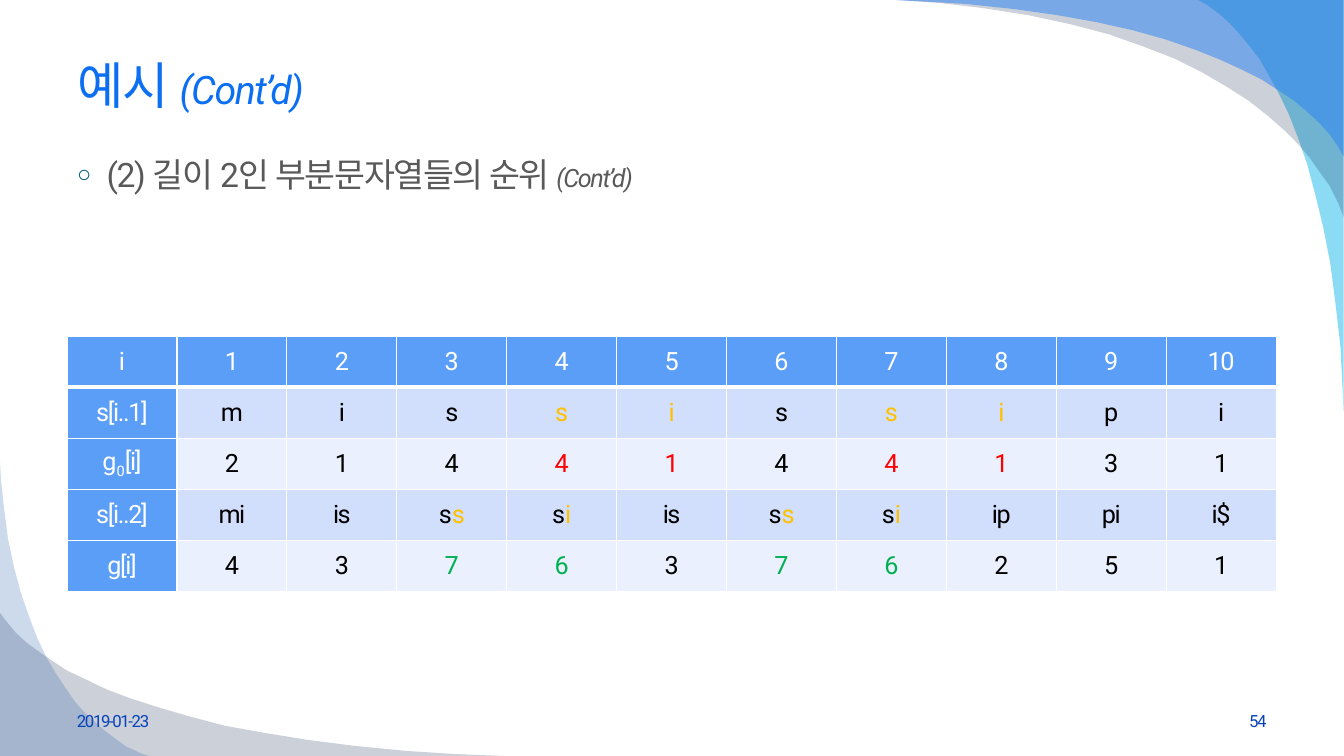
from lxml import etree
from pptx import Presentation
from pptx.dml.color import RGBColor
from pptx.enum.text import MSO_ANCHOR, PP_ALIGN
from pptx.oxml.ns import qn
from pptx.util import Cm, Pt

LEFT, CENTER, RIGHT = PP_ALIGN.LEFT, PP_ALIGN.CENTER, PP_ALIGN.RIGHT
MIDDLE = MSO_ANCHOR.MIDDLE
FONT = "Roboto"
WHITE, BLACK, GOLD, RED, GREEN = "FFFFFF", "000000", "FFC000", "FF0000", "00B050"
BLUE, GREY, FOOTER_BLUE = "0C6FF2", "595959", "0743BC"
HEADER_FILL, BAND_FILLS = "5B9EF7", ("D2DFFC", "EAF0FD")
MARGIN, CONTENT_WIDTH = Cm(1.69), Cm(30.48)


def rgb(color):
    return RGBColor.from_string(color)


def write(paragraph, text, size, color, italic=False, baseline=0, align=LEFT):
    """Append a tightly spaced run to the paragraph."""
    paragraph.alignment = align
    run = paragraph.add_run()
    run.text = text
    run.font.size = Pt(size)
    run.font.italic = italic
    run.font.color.rgb = rgb(color)
    run.font.name = FONT
    properties = run.font._element
    etree.SubElement(properties, qn("a:ea"), typeface=FONT)
    properties.set("spc", "-100")
    if baseline:
        properties.set("baseline", str(baseline * 1000))


prs = Presentation()
prs.slide_width, prs.slide_height = Cm(33.87), Cm(19.05)
slide = prs.slides.add_slide(prs.slide_layouts[1])
shapes = slide.shapes

# Corner waves: fill, opacity in percent, outline in hundredths of an inch
waves = [
    ("00B1E9", 45, [
        (1333, 408), (1333, 0), (1189, 0), (1198, 5), (1210, 14), (1220, 23),
        (1231, 35), (1240, 46), (1250, 59), (1259, 75), (1269, 93), (1279, 114),
        (1288, 137), (1297, 163), (1305, 193), (1313, 226), (1320, 262),
        (1325, 301), (1330, 344), (1332, 384)]),
    ("021741", 20, [
        (889, 0), (1333, 0), (1333, 215), (1328, 202), (1319, 184), (1311, 173),
        (1299, 156), (1288, 143), (1274, 129), (1258, 115), (1239, 100),
        (1217, 86), (1193, 72), (1165, 58), (1134, 46), (1100, 34), (1062, 24),
        (1020, 15), (975, 8), (933, 3)]),
    ("247FF4", 49, [
        (889, 0), (1333, 0), (1333, 155), (1328, 146), (1319, 133), (1309, 122),
        (1296, 110), (1284, 100), (1269, 90), (1252, 79), (1232, 69), (1210, 59),
        (1185, 49), (1156, 39), (1124, 30), (1088, 22), (1049, 15), (1006, 9),
        (959, 4), (925, 2)]),
    ("021741", 20, [
        (500, 750), (0, 750), (0, 608), (6, 616), (16, 628), (27, 638), (38, 646),
        (51, 655), (66, 665), (85, 674), (106, 684), (130, 693), (158, 702),
        (189, 711), (223, 720), (262, 727), (305, 734), (352, 740), (403, 745),
        (450, 748)]),
    ("084AA1", 20, [
        (0, 458), (0, 750), (148, 750), (139, 747), (126, 741), (116, 734),
        (104, 725), (95, 717), (85, 708), (75, 697), (66, 684), (56, 669),
        (46, 652), (37, 633), (29, 612), (21, 589), (14, 563), (8, 535),
        (4, 504), (1, 476)]),
]
for depth, (color, opacity, outline) in enumerate(waves, start=2):
    builder = shapes.build_freeform(*outline[0], scale=Cm(0.0254))
    builder.add_line_segments(outline[1:], close=True)
    wave = builder.convert_to_shape()
    wave.shadow.inherit = False
    wave.line.fill.background()
    wave.fill.solid()
    wave.fill.fore_color.rgb = rgb(color)
    fill_color = wave._element.spPr.find(".//" + qn("a:srgbClr"))
    etree.SubElement(fill_color, qn("a:alpha"), val=str(opacity * 1000))
    shapes._spTree.insert(depth, wave._element)  # behind the text

title = shapes.title
title.left, title.top, title.width, title.height = MARGIN, Cm(0.84), CONTENT_WIDTH, Cm(2.57)
title.text_frame.vertical_anchor = MIDDLE
heading = title.text_frame.paragraphs[0]
write(heading, "예시 ", 36, BLUE)
write(heading, "(Cont’d)", 28, BLUE, italic=True)

body = slide.placeholders[1]
body.left, body.top, body.width, body.height = MARGIN, Cm(3.76), CONTENT_WIDTH, Cm(13.26)
step = body.text_frame.paragraphs[0]
step.space_before = Pt(0)
step_properties = step._p.get_or_add_pPr()
step_properties.set("marL", str(Cm(0.74)))
step_properties.set("indent", str(-Cm(0.74)))
bullet_color = etree.SubElement(step_properties, qn("a:buClr"))
etree.SubElement(bullet_color, qn("a:srgbClr"), val="005876")
etree.SubElement(step_properties, qn("a:buSzPct"), val="70000")
etree.SubElement(step_properties, qn("a:buChar"), char="○")
write(step, "(2) 길이 2인 부분문자열들의 순위 ", 24, GREY)
write(step, "(Cont’d)", 18, GREY, italic=True)

for text, left, align in [("2019-01-23", MARGIN, LEFT), ("54", Cm(24.27), RIGHT)]:
    footer = shapes.add_textbox(left, Cm(17.65), Cm(7.9), Cm(1.01)).text_frame
    footer.word_wrap = True
    footer.vertical_anchor = MIDDLE
    write(footer.paragraphs[0], text, 12, FOOTER_BLUE, align=align)

# Label runs (text, baseline), values, accent colour, accented columns,
# and how many leading letters of an accented value stay black
rank_rows = [
    ([("i", 0)], [str(i) for i in range(1, 11)], WHITE, range(1, 11), 0),
    ([("s[i..1]", 0)], "m i s s i s s i p i".split(), GOLD, (4, 5, 7, 8), 0),
    ([("g", 0), ("0", -25), ("[i]", 0)], "2 1 4 4 1 4 4 1 3 1".split(), RED, (4, 5, 7, 8), 0),
    ([("s[i..2]", 0)], "mi is ss si is ss si ip pi i$".split(), GOLD, (3, 4, 6, 7), 1),
    ([("g[i]", 0)], "4 3 7 6 3 7 6 2 5 1".split(), GREEN, (3, 4, 6, 7), 0),
]
ranks = shapes.add_table(len(rank_rows), 11, MARGIN, Cm(8.47), CONTENT_WIDTH, Cm(6.43)).table
for r, (label, values, accent, accented, plain) in enumerate(rank_rows):
    for c in range(11):
        cell = ranks.cell(r, c)
        cell.vertical_anchor = MIDDLE
        for side in "LRTB":
            thick = (r, side) in ((0, "B"), (1, "T"))
            border = etree.SubElement(cell._tc.get_or_add_tcPr(), qn("a:ln" + side),
                                      w=str(Pt(3 if thick else 1)))
            border_fill = etree.SubElement(border, qn("a:solidFill"))
            etree.SubElement(border_fill, qn("a:srgbClr"), val=WHITE)
        cell.fill.solid()
        is_header = r == 0 or c == 0
        cell.fill.fore_color.rgb = rgb(HEADER_FILL if is_header else BAND_FILLS[(r - 1) % 2])

        if c == 0:
            runs = [(text, WHITE, baseline) for text, baseline in label]
        elif c in accented:
            value = values[c - 1]
            runs = [(value[:plain], BLACK, 0), (value[plain:], accent, 0)]
        else:
            runs = [(values[c - 1], BLACK, 0)]
        for text, color, baseline in runs:
            if text:
                write(cell.text_frame.paragraphs[0], text, 18, color,
                      baseline=baseline, align=CENTER)

prs.save("out.pptx")
